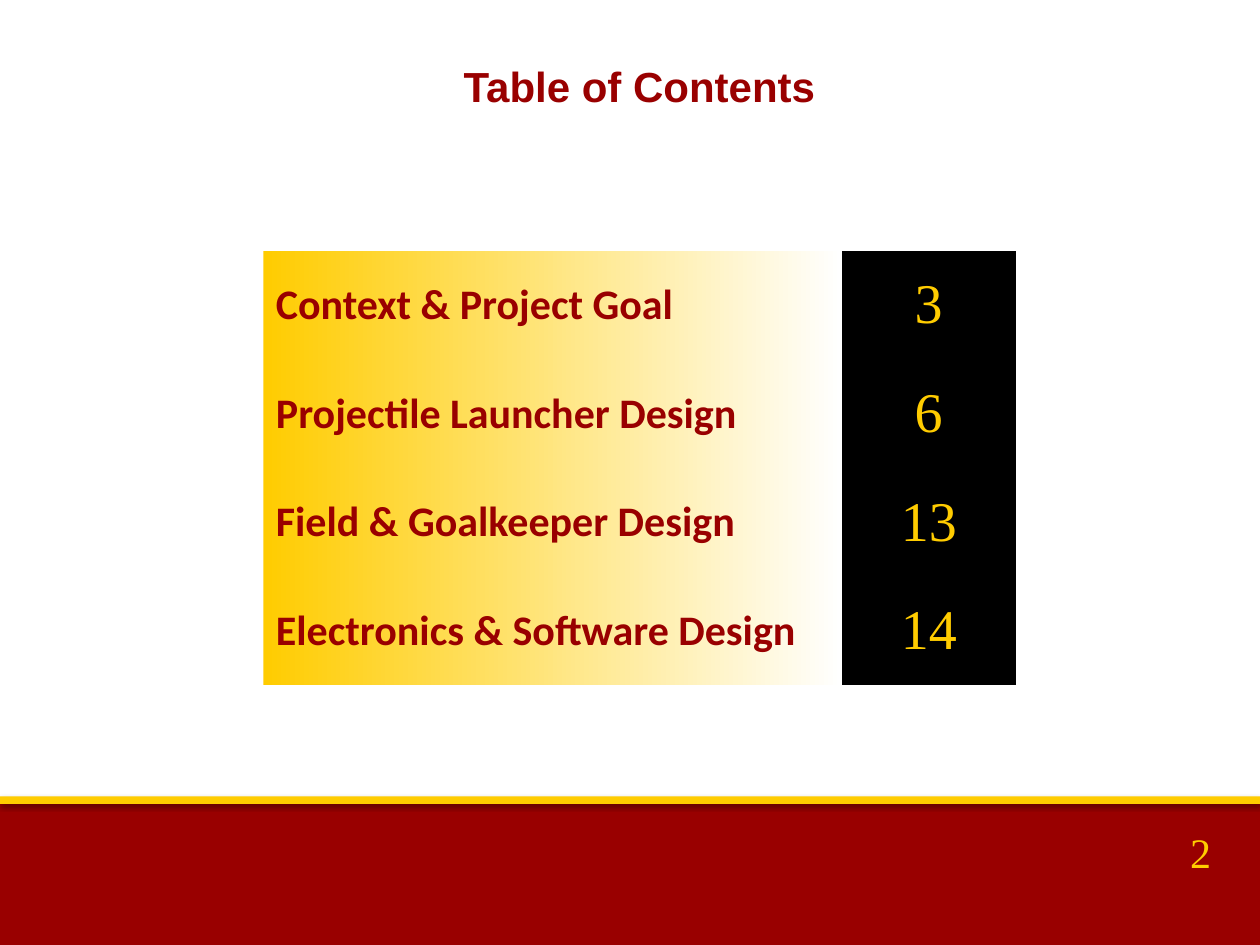
from lxml import etree
from pptx import Presentation, util as u
from pptx.dml.color import RGBColor
from pptx.enum import shapes, text
from pptx.oxml import ns

W, H = 10, 7.5
RED, GOLD, BLACK, WHITE = "990000", "FFCC00", "000000", "FFFFFF"
NO_STYLE = "{2D5ABB26-0587-4C30-8999-92F81FD0307C}"
HEAD = dict(name="Arial", size=u.Pt(24), bold=True)
TOPIC = dict(name="Calibri", size=u.Pt(24), bold=True)
PAGE = dict(name="Times New Roman", size=u.Pt(32), bold=False)
NUMBER = dict(PAGE, size=u.Pt(24))
CONTENTS = [
    ("Context & Project Goal", "3"),
    ("Projectile Launcher Design", "6"),
    ("Field & Goalkeeper Design", "13"),
    ("Electronics & Software Design", "14"),
]


def rgb(value):
    return RGBColor.from_string(value)


def inches(box):
    return [u.Inches(v) for v in box]


def write(tf, words, fmt, color, align):
    p = tf.paragraphs[0]
    p.alignment = align
    r = p.add_run()
    r.text = words
    for key, value in fmt.items():
        setattr(r.font, key, value)
    r.font.color.rgb = rgb(color)


def add_shadow(sp, alpha, blur, dist):
    effects = etree.SubElement(sp._element.spPr, ns.qn("a:effectLst"))
    shadow = etree.SubElement(
        effects, ns.qn("a:outerShdw"), blurRad=str(u.Pt(blur)),
        dist=str(u.Pt(dist)), dir="5400000", rotWithShape="0")
    color = etree.SubElement(shadow, ns.qn("a:srgbClr"), val=BLACK)
    etree.SubElement(color, ns.qn("a:alpha"), val=str(alpha * 1000))


def add_band(s, box, color, shadow):
    sp = s.shapes.add_shape(shapes.MSO_SHAPE.RECTANGLE, *inches(box))
    sp.fill.solid()
    sp.fill.fore_color.rgb = rgb(color)
    sp.line.fill.background()
    add_shadow(sp, *shadow)


def add_footer(s, box):
    left, top, width, height = box
    add_band(s, box, RED, (35, 3.1, 1.8))
    add_band(s, (left, top - 0.03, width, 0.06), GOLD, (38, 3.1, 1.6))
    tb = s.shapes.add_textbox(
        *inches((left + width - 1.11, top + 0.16, 0.82, 0.5)))
    tb.text_frame.word_wrap = True
    write(tb.text_frame, "2", NUMBER, GOLD, text.PP_ALIGN.RIGHT)


def add_title(s, box, words):
    sp = s.shapes.title
    sp.left, sp.top, sp.width, sp.height = inches(box)
    tf = sp.text_frame
    tf.vertical_anchor = text.MSO_ANCHOR.TOP
    write(tf, words, HEAD, RED, text.PP_ALIGN.CENTER)


def fill_topic(cell):
    cell.fill.gradient()
    cell.fill.gradient_angle = 0
    for stop, color in zip(cell.fill.gradient_stops, (GOLD, WHITE)):
        stop.color.rgb = rgb(color)
    for stop, position in zip(cell.fill.gradient_stops, (0, 1)):
        stop.position = position


def fill_page(cell):
    cell.fill.solid()
    cell.fill.fore_color.rgb = rgb(BLACK)


def add_contents(s, box, rows):
    columns = [
        (10 / 13, fill_topic, TOPIC, RED, text.PP_ALIGN.LEFT),
        (3 / 13, fill_page, PAGE, GOLD, text.PP_ALIGN.CENTER),
    ]
    table = s.shapes.add_table(len(rows), len(columns), *inches(box)).table
    table.first_row = table.horz_banding = False
    table._tbl.tblPr.find(ns.qn("a:tableStyleId")).text = NO_STYLE
    for j, (share, fill, fmt, color, align) in enumerate(columns):
        table.columns[j].width = u.Inches(box[2] * share)
        for i, row in enumerate(rows):
            cell = table.cell(i, j)
            cell.vertical_anchor = text.MSO_ANCHOR.MIDDLE
            fill(cell)
            write(cell.text_frame, row[j], fmt, color, align)


def main():
    prs = Presentation()
    prs.slide_width, prs.slide_height = inches((W, H))
    s = prs.slides.add_slide(prs.slide_layouts[5])
    add_footer(s, (0, H - 1.15, W, 1.15))
    add_title(s, (1.03, 0.43, 8.09, 0.5), "Table of Contents")
    add_contents(s, (2.09, 1.99, 5.97, 3.45), CONTENTS)
    prs.save("out.pptx")


if __name__ == "__main__":
    main()
